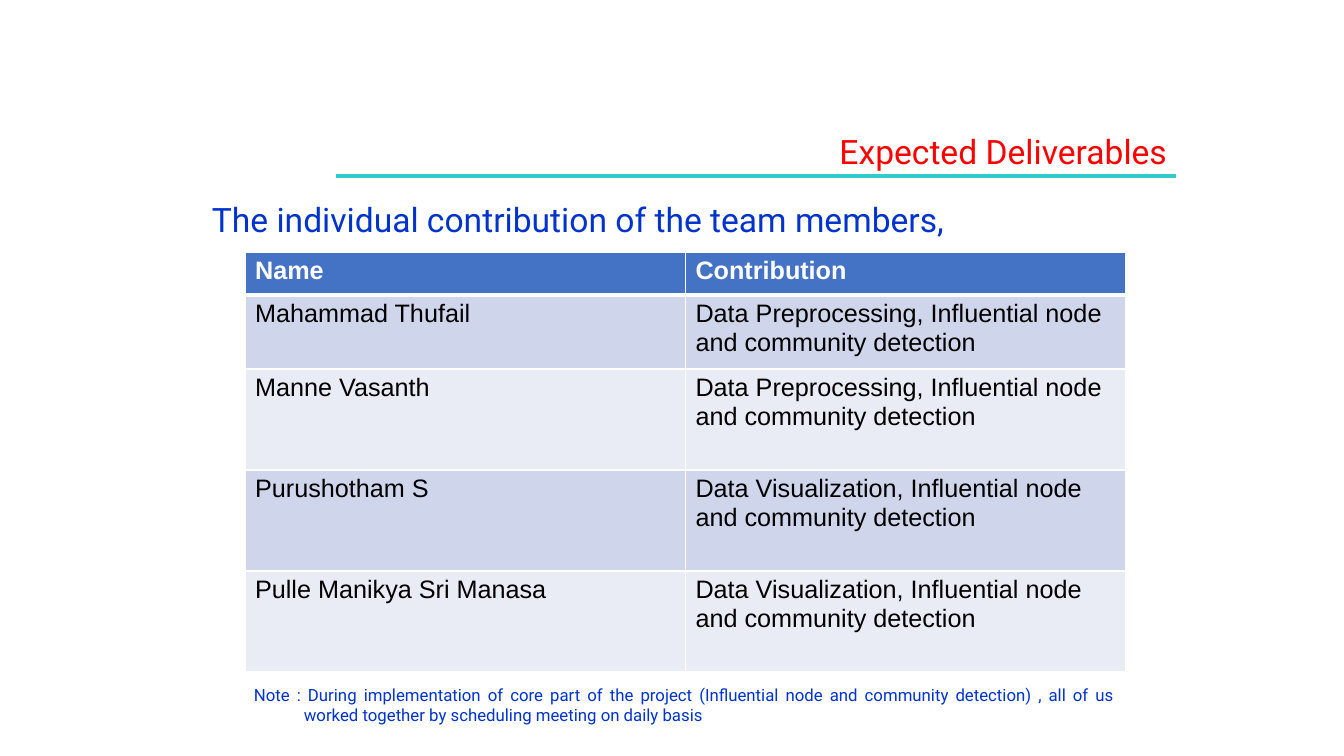
from lxml import etree
from pptx import Presentation
from pptx import util as u
from pptx.dml.color import RGBColor
from pptx.enum import shapes, text
from pptx.oxml import ns

SCALE = 914400 / 100.8
COLORS = {"title": "FF0000", "rule": "33CCCC", "body": "0033CC", "header": "4472C4",
          "odd": "CFD5EA", "even": "E9EBF5", "white": "FFFFFF", "black": "000000"}
SHARED_TASK = "Influential node and community detection"
ROWS = [("Name", "Contribution"),
        ("Mahammad Thufail", f"Data Preprocessing, {SHARED_TASK}"),
        ("Manne Vasanth", f"Data Preprocessing, {SHARED_TASK}"),
        ("Purushotham S", f"Data Visualization, {SHARED_TASK}"),
        ("Pulle Manikya Sri Manasa", f"Data Visualization, {SHARED_TASK}")]
ROW_HEIGHTS = [43, 74, 101, 101, 101]
NOTE = ("Note : During implementation of core part of the project "
        f"({SHARED_TASK}) , all of us worked together by scheduling meeting on daily basis")


def px(value):
    """Turn pixels into EMU."""
    return u.Emu(round(value * SCALE))


def color(name):
    """Look up a colour by its role."""
    return RGBColor.from_string(COLORS[name])


def write(frame, words, ink, align=None, hang=0, **font):
    """Fill a text frame with one formatted paragraph."""
    frame.word_wrap = True
    frame.vertical_anchor = text.MSO_ANCHOR.TOP
    para = frame.paragraphs[0]
    para.alignment = align
    if hang:
        props = para._p.get_or_add_pPr()
        props.set("marL", str(px(hang)))
        props.set("indent", str(-px(hang)))
    span = para.add_run()
    span.text = words
    for key, value in font.items():
        setattr(span.font, key, value)
    span.font.color.rgb = color(ink)


def add_title(page, left, top, width, height):
    """Place the right-aligned title and the rule under it."""
    title = page.shapes.title
    place = {"left": left, "top": top, "width": width, "height": height}
    for key, value in place.items():
        setattr(title, key, px(value))
    write(title.text_frame, "Expected Deliverables", "title", text.PP_ALIGN.RIGHT,
          hang=38, name="Roboto", size=u.Pt(24))
    rule = page.shapes.add_shape(shapes.MSO_SHAPE.RECTANGLE, px(left + 16),
                                 px(top + 48), px(width - 17), px(4))
    rule.shadow.inherit = False
    rule.fill.solid()
    rule.fill.fore_color.rgb = color("rule")
    rule.line.fill.background()


def add_body(page, words, size, left, top, width, height):
    """Place a justified text with a hanging indent."""
    box = page.shapes.add_textbox(*map(px, (left, top, width, height)))
    write(box.text_frame, words, "body", text.PP_ALIGN.JUSTIFY, hang=50,
          name="Roboto", size=u.Pt(size))


def add_borders(cell, widths):
    """Draw white cell borders, given widths by side in points."""
    props = cell._tc.get_or_add_tcPr()
    for index, (side, width) in enumerate(widths.items()):
        line = etree.Element(ns.qn(f"a:ln{side}"), w=str(u.Pt(width)))
        fill = etree.SubElement(line, ns.qn("a:solidFill"))
        etree.SubElement(fill, ns.qn("a:srgbClr"), val=COLORS["white"])
        props.insert(index, line)


def add_members(page, left, top, width, height):
    """Place the table of members and contributions."""
    table = page.shapes.add_table(len(ROWS), 2, *map(px, (left, top, width, height))).table
    for column in table.columns:
        column.width = px(width / 2)
    for number, (words, row_height) in enumerate(zip(ROWS, ROW_HEIGHTS)):
        table.rows[number].height = px(row_height)
        header = number == 0
        fill = "header" if header else ("even", "odd")[number % 2]
        for column, word in enumerate(words):
            cell = table.cell(number, column)
            cell.fill.solid()
            cell.fill.fore_color.rgb = color(fill)
            write(cell.text_frame, word, "white" if header else "black",
                  name="Arial", size=u.Pt(18), bold=header)
            add_borders(cell, {"L": 1, "R": 1, "T": 3 if number == 1 else 1,
                               "B": 3 if header else 1})


def build():
    """Build and save the slide."""
    deck = Presentation()
    deck.slide_width, deck.slide_height = px(1344), px(756)
    page = deck.slides.add_slide(deck.slide_layouts[5])
    add_title(page, 320, 126, 857, 50)
    add_body(page, "The individual contribution of the team members,", 24,
             202, 194, 1000, 173)
    add_members(page, 245, 252, 881, sum(ROW_HEIGHTS))
    add_body(page, NOTE, 12, 244, 680, 881, 50)
    deck.save("out.pptx")


build()
